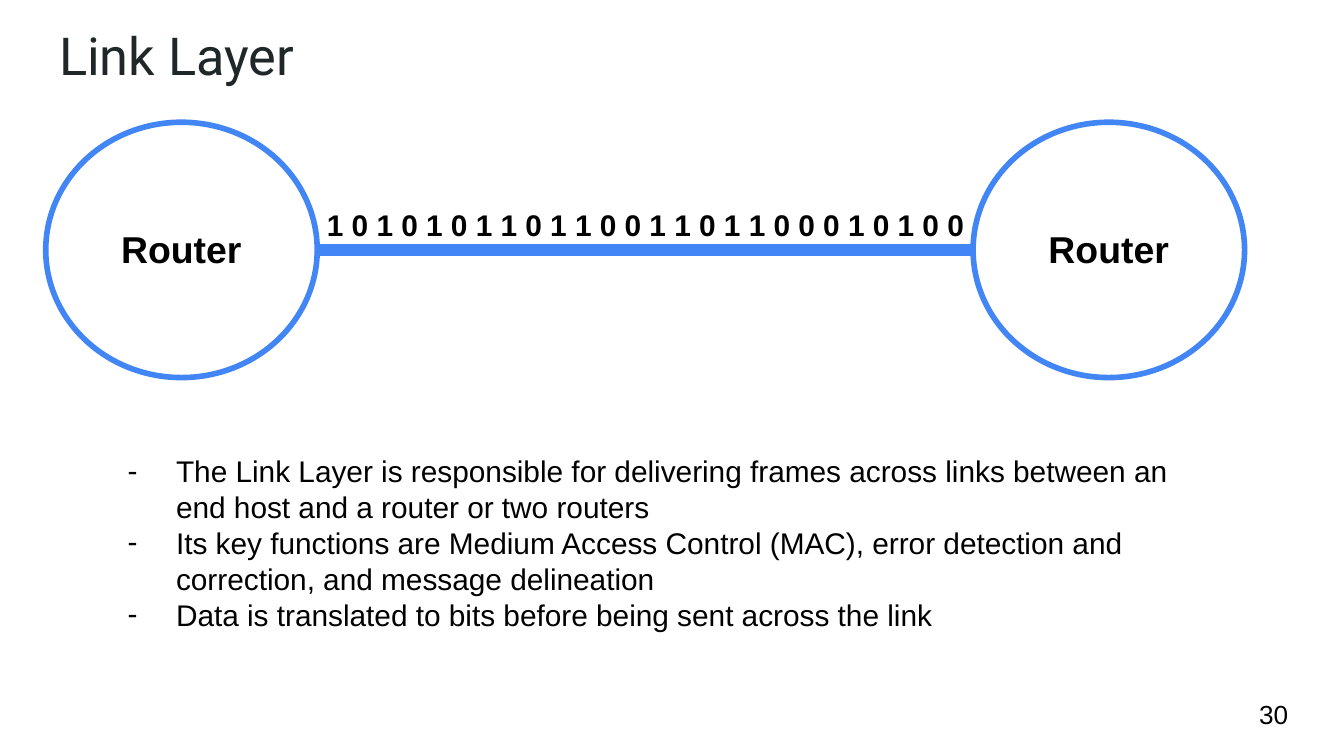
from lxml.etree import SubElement
from pptx import Presentation
from pptx.dml.color import RGBColor
from pptx.enum.shapes import MSO_CONNECTOR as Link, MSO_SHAPE as Shape
from pptx.enum.text import MSO_ANCHOR as Anchor, MSO_AUTO_SIZE as Fit, PP_ALIGN as Align
from pptx.oxml.ns import qn
from pptx.util import Pt

PX = 9144  # 100 px to the inch
HUE = {"title": "202729", "text": "000000", "blue": "4285F4"}

TITLE = "Link Layer"
NODES = [("Router", 34), ("Router", 724)]  # label, left
BITS = "10101011011001101100010100"
POINTS = [
    "The Link Layer is responsible for delivering frames across links between an "
    "end host and a router or two routers",
    "Its key functions are Medium Access Control (MAC), error detection and "
    "correction, and message delineation",
    "Data is translated to bits before being sent across the link",
]
NUMBER = "30"
TOP, WIDE, HIGH = 91, 202, 190  # router ellipses
MID = TOP + HIGH // 2


def rgb(key):
    return RGBColor.from_string(HUE[key])


def place(shape, *box):
    shape.left, shape.top, shape.width, shape.height = (n * PX for n in box)


def write(shape, lines, size, bold=False, align=Align.LEFT, anchor=Anchor.TOP,
          font="Arial", hue="text"):
    """Fill a shape with one paragraph per line and return the paragraphs."""
    frame = shape.text_frame
    frame.word_wrap, frame.auto_size = True, Fit.NONE
    frame.vertical_anchor = anchor
    frame.margin_left = frame.margin_right = 10 * PX
    frame.margin_top = frame.margin_bottom = 10 * PX
    for i, line in enumerate(lines):
        para = frame.add_paragraph() if i else frame.paragraphs[0]
        para.alignment = align
        para.space_before = Pt(0)
        run = para.add_run()
        run.text = line
        run.font.size, run.font.bold, run.font.name = Pt(size), bold, font
        run.font.color.rgb = rgb(hue)
    return frame.paragraphs


def dash(para):
    props = para._p.get_or_add_pPr()
    props.set("marL", str(50 * PX))
    props.set("indent", str(-36 * PX))
    SubElement(props, qn("a:buFont"), typeface="Arial")
    SubElement(props, qn("a:buChar"), char="-")


def label(box, text, size, **style):
    write(slide.shapes.add_textbox(*(n * PX for n in box)), [text], size, **style)


deck = Presentation()
deck.slide_width = 1000 * PX
deck.slide_height = deck.slide_width * 9 // 16
slide = deck.slides.add_slide(deck.slide_layouts[1])
title, body = slide.placeholders

place(title, 34, 7, 932, 63)
write(title, [TITLE], 28, font="Roboto", hue="title")
label((927, 510, 60, 43), NUMBER, 14, anchor=Anchor.MIDDLE)

for name, left in NODES:
    ring = slide.shapes.add_shape(Shape.OVAL, *(n * PX for n in (left, TOP, WIDE, HIGH)))
    ring.shadow.inherit = False
    ring.fill.background()
    ring.line.color.rgb, ring.line.width = rgb("blue"), Pt(3)
    label((left + 9, 158, WIDE - 18, 63), name, 20, bold=True, align=Align.CENTER)

start, end = NODES[0][1] + WIDE, NODES[1][1]
wire = slide.shapes.add_connector(Link.STRAIGHT, start * PX, MID * PX, end * PX, MID * PX)
wire.line.color.rgb, wire.line.width = rgb("blue"), Pt(6)
SubElement(wire._element.spPr, qn("a:effectLst"))
label((232, 144, 497, 34), " ".join(BITS), 16, bold=True, align=Align.CENTER)

place(body, 71, 327, 846, 169)
for para in write(body, POINTS, 16):
    dash(para)

deck.save("out.pptx")
